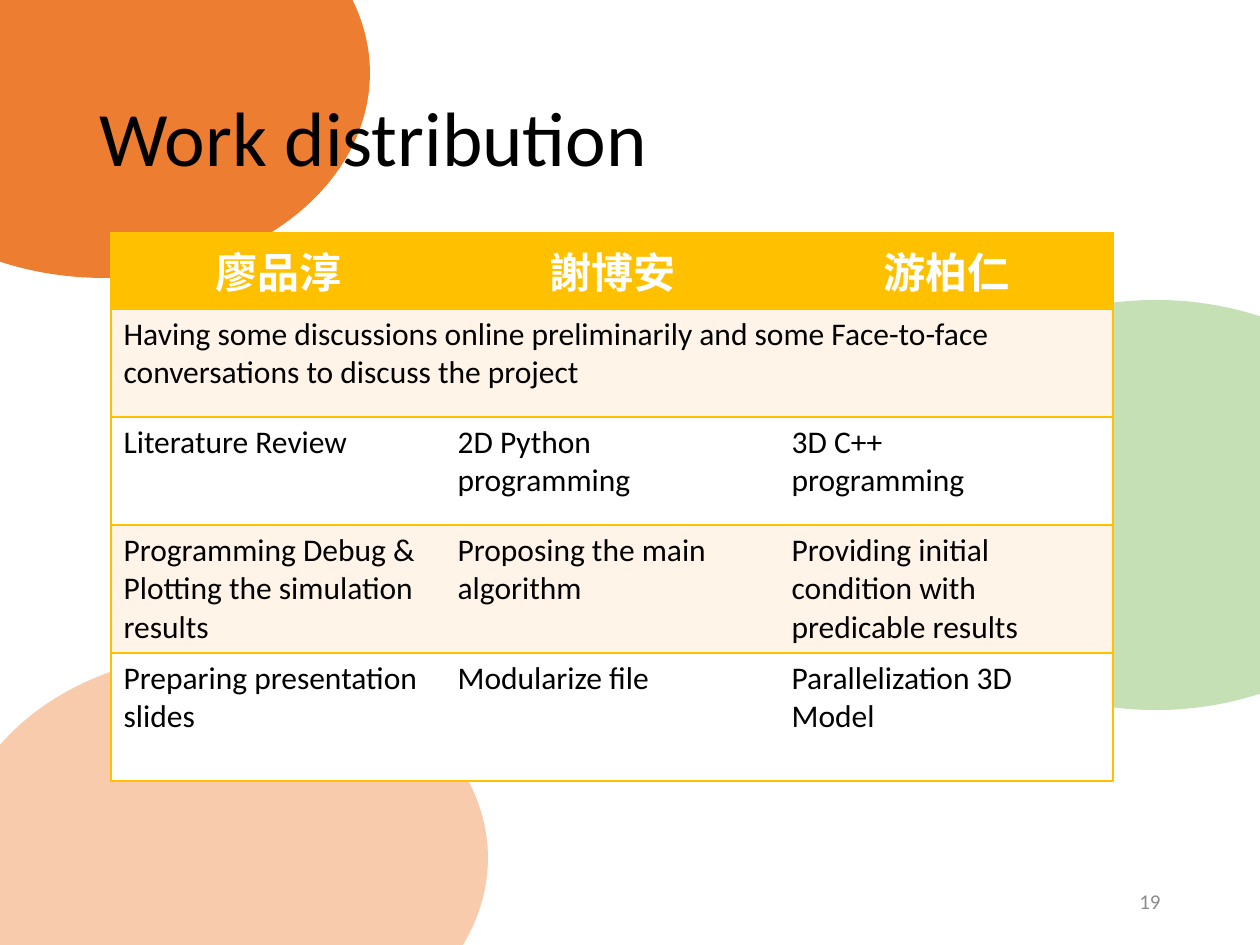
"""Build the work distribution slide with its table of tasks per member."""
from dataclasses import dataclass

from lxml import etree
from pptx import Presentation
from pptx.dml.color import RGBColor
from pptx.enum.shapes import MSO_SHAPE
from pptx.enum.text import MSO_ANCHOR, MSO_AUTO_SIZE, PP_ALIGN
from pptx.oxml.ns import qn
from pptx.util import Pt

ELLIPSE = MSO_SHAPE.OVAL
MIDDLE, TOP = MSO_ANCHOR.MIDDLE, MSO_ANCHOR.TOP
NO_FIT = MSO_AUTO_SIZE.NONE
LEFT, CENTER, RIGHT = PP_ALIGN.LEFT, PP_ALIGN.CENTER, PP_ALIGN.RIGHT
PX = 914400 / 126


@dataclass(frozen=True)
class Theme:
    latin: str = "Calibri"
    chinese: str = "Noto Sans CJK SC"
    black: str = "000000"
    white: str = "FFFFFF"
    gray: str = "8C8C8C"
    orange: str = "ED7D31"
    green: str = "C5E0B4"
    peach: str = "F8CBAD"
    gold: str = "FFC000"
    cream: str = "FFF4E7"
    title_size: int = 44
    header_size: int = 24
    body_size: int = 18
    number_size: int = 12


THEME = Theme()


def px(*lengths):
    return [round(length * PX) for length in lengths]


def write(frame, text, color, align=LEFT, spacing=1.0, **font_format):
    frame.word_wrap = True
    frame.text = text
    for para in frame.paragraphs:
        para.alignment = align
        para.line_spacing = spacing
        for span in para.runs:
            span.font.color.rgb = RGBColor.from_string(color)
            for name, value in font_format.items():
                setattr(span.font, name, value)
            east_asian = etree.SubElement(span.font._element, qn("a:ea"))
            east_asian.set("typeface", THEME.chinese)


deck = Presentation()
deck.slide_width, deck.slide_height = px(1260, 945)
page = deck.slides.add_slide(deck.slide_layouts[5])

number_box = page.shapes.add_textbox(*px(890, 876, 283, 50))
number_box.text_frame.vertical_anchor = MIDDLE
write(number_box.text_frame, "19", THEME.gray, RIGHT,
      name=THEME.latin, size=Pt(THEME.number_size))

for left, top, color in [(-162, -132, THEME.orange), (890, 300, THEME.green),
                         (-44, 653, THEME.peach)]:
    ellipse = page.shapes.add_shape(ELLIPSE, *px(left, top, 532, 410))
    ellipse.shadow.inherit = False
    ellipse.fill.solid()
    ellipse.fill.fore_color.rgb = RGBColor.from_string(color)
    ellipse.line.fill.background()

title = page.shapes.title
title.left, title.top, title.width, title.height = px(87, 50, 1086, 183)
title.text_frame.vertical_anchor = MIDDLE
title.text_frame.auto_size = NO_FIT
write(title.text_frame, "Work distribution", THEME.black, spacing=0.9,
      name=THEME.latin, size=Pt(THEME.title_size))
page.shapes._spTree.append(title._element)

TASKS = [
    ["廖品淳", "謝博安", "游柏仁"],
    ["Having some discussions online preliminarily and some Face-to-face "
     "conversations to discuss the project", "", ""],
    ["Literature Review", "2D Python programming", "3D C++\nprogramming"],
    ["Programming Debug & Plotting the simulation results",
     "Proposing the main algorithm",
     "Providing initial condition with predicable results"],
    ["Preparing presentation slides", "Modularize file",
     "Parallelization 3D Model"],
]
ROW_HEIGHTS = [76, 108, 108, 128, 128]
COLUMN_WIDTH = 334
columns = len(TASKS[0])

table = page.shapes.add_table(
    len(TASKS), columns,
    *px(111, 233, COLUMN_WIDTH * columns, sum(ROW_HEIGHTS))).table
table.horz_banding = False
for column in table.columns:
    column.width = px(COLUMN_WIDTH)[0]
for row, height in zip(table.rows, ROW_HEIGHTS):
    row.height = px(height)[0]
table.cell(1, 0).merge(table.cell(1, columns - 1))

HEADER = {"color": THEME.white, "align": CENTER, "name": THEME.chinese,
          "size": Pt(THEME.header_size), "bold": True}
BODY = {"color": THEME.black, "name": THEME.latin,
        "size": Pt(THEME.body_size), "bold": False}

for row_index, tasks in enumerate(TASKS):
    header = row_index == 0
    fill = THEME.gold if header else (THEME.white, THEME.cream)[row_index % 2]
    for column_index, task in enumerate(tasks):
        cell = table.cell(row_index, column_index)
        cell.vertical_anchor = TOP
        cell.fill.solid()
        cell.fill.fore_color.rgb = RGBColor.from_string(fill)
        if not cell.is_spanned:
            write(cell.text_frame, task, **(HEADER if header else BODY))
        edges = {"a:lnL": column_index == 0 or cell.is_spanned,
                 "a:lnR": column_index == columns - 1 or cell.is_merge_origin,
                 "a:lnT": True, "a:lnB": True}
        properties = cell._tc.get_or_add_tcPr()
        for position, (edge, visible) in enumerate(edges.items()):
            border = etree.Element(qn(edge), w=str(Pt(1)))
            properties.insert(position, border)
            if visible:
                solid = etree.SubElement(border, qn("a:solidFill"))
                etree.SubElement(solid, qn("a:srgbClr"), val=THEME.gold)
            else:
                etree.SubElement(border, qn("a:noFill"))

deck.save("out.pptx")
